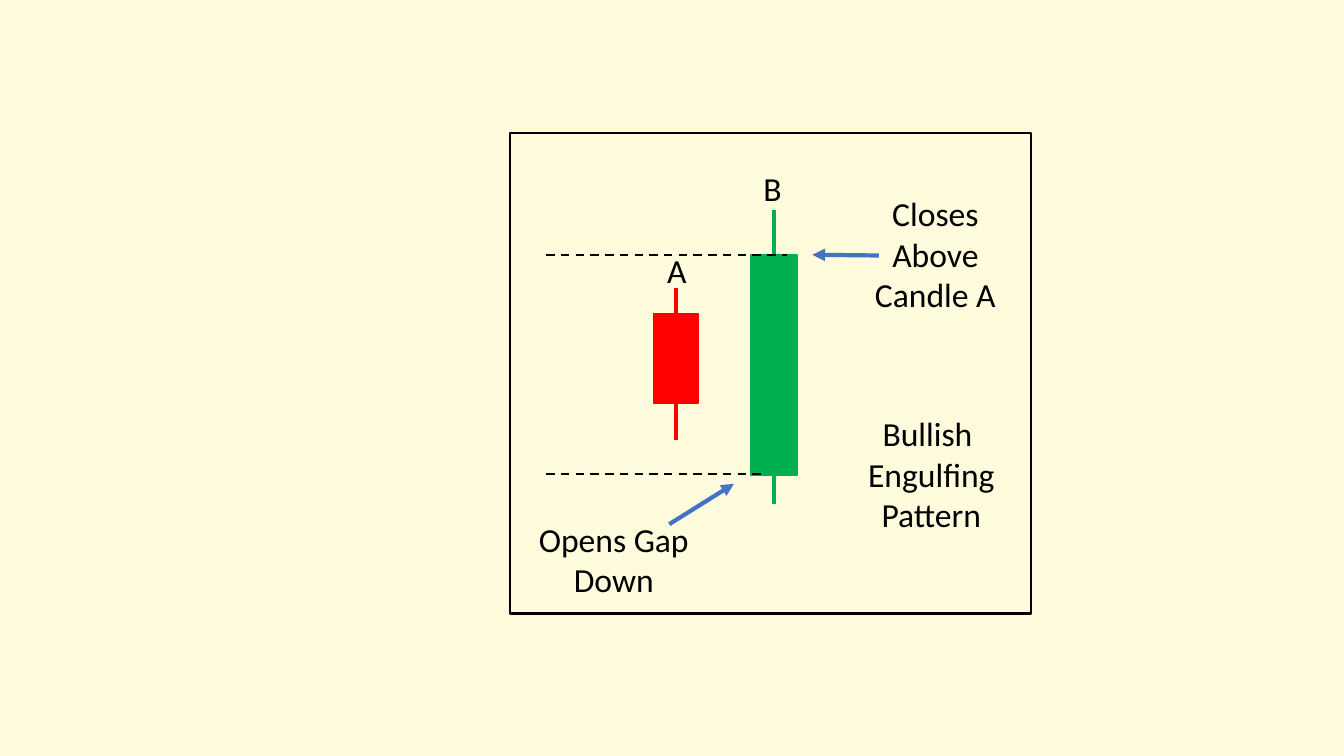
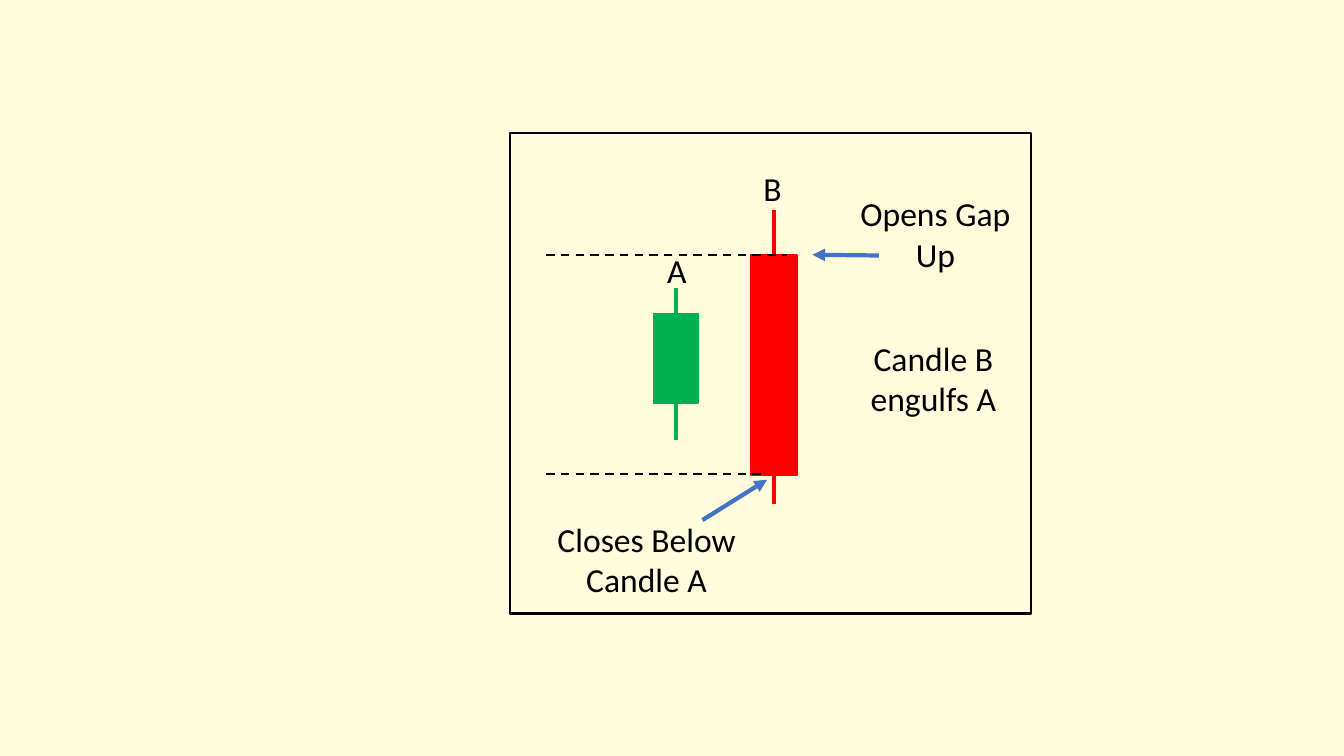
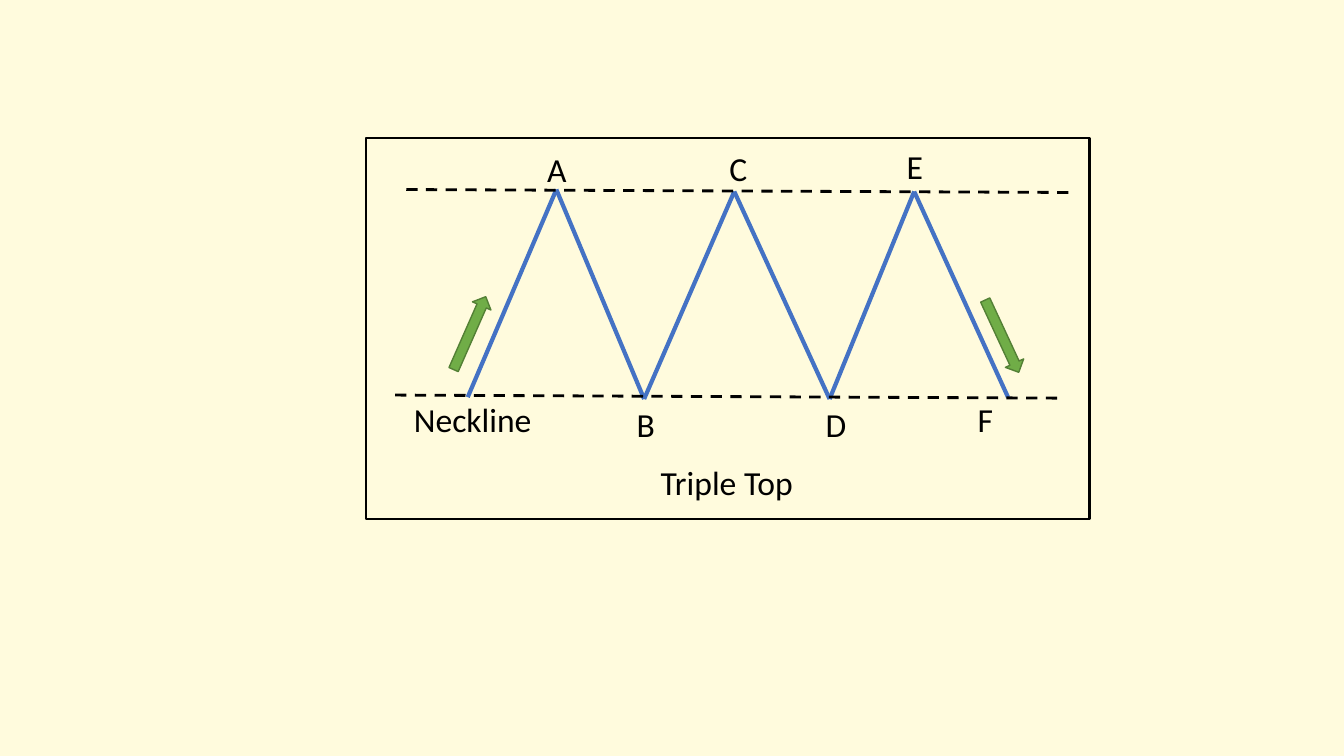
from pptx import Presentation
from pptx.dml.color import RGBColor
from pptx.enum.dml import MSO_LINE
from pptx.enum.shapes import MSO_CONNECTOR, MSO_SHAPE
from pptx.enum.text import MSO_AUTO_SIZE, PP_ALIGN
from pptx.oxml.ns import qn
from pptx.util import Pt
from lxml import etree

RECT, UP_ARROW = MSO_SHAPE.RECTANGLE, MSO_SHAPE.UP_ARROW
STRAIGHT, DASH = MSO_CONNECTOR.STRAIGHT, MSO_LINE.DASH
CENTER, GROW = PP_ALIGN.CENTER, MSO_AUTO_SIZE.SHAPE_TO_FIT_TEXT

FONT, SIZE = "Calibri", 24
CREAM, BLACK, BLUE = "FFFBDD", "000000", "4472C4"
RED, GREEN = "FF0000", "00B050"
LEAF, LEAF_EDGE = "70AD47", "538035"

# Candles: centre, body width, body top, body bottom, wick top, wick bottom
CANDLE_A = (482.8, 31.7, 224, 288, 206, 314)
CANDLE_B = (552.8, 33.1, 182.2, 339.2, 149.8, 360)
CANDLE_FRAME = (364.3, 95, 372.2, 343.4)
CANDLE_LABELS = [(463, 175, 41, 36, ["A"]), (531.4, 116.6, 41, 36, ["B"])]
LEVELS = [(390.2, 182.2, 562.3, 182.2), (390.2, 338.4, 547.9, 338.4)]
TOP_ARROW = (627.8, 182.5, 580.3, 182)

CANDLE_SLIDES = [
    {
        "colors": (RED, GREEN),
        "bottom_arrow": (478.1, 374.4, 524.2, 345.6),
        "texts": [
            (375.8, 367.2, 125.3, 65.5, ["Opens Gap Down"]),
            (605.5, 134.6, 125.3, 94.3, ["Closes", "Above", "Candle A"]),
            (602.6, 291.6, 125.3, 94.3, ["Bullish ", "Engulfing", "Pattern"]),
        ],
    },
    {
        "colors": (GREEN, RED),
        "bottom_arrow": (501.8, 371.5, 547.9, 342.7),
        "texts": [
            (375.8, 367.2, 172.1, 65.5, ["Closes Below Candle A"]),
            (605.5, 134.6, 125.3, 65.5, ["Opens Gap Up"]),
            (604.1, 237.6, 125.3, 65.5, ["Candle B engulfs A"]),
        ],
    },
]

TRIPLE_FRAME = (261.4, 98.6, 517, 272.2)
ZIGZAG = [(334.1, 283.7), (397.4, 135.4), (460.1, 285), (524.5, 136.8),
          (592.6, 285), (653, 136.8), (720, 283.7)]
TREND_LINES = [(282.2, 282.2, 756, 284.4), (290.2, 135.4, 764.6, 137.5)]
TREND_ARROWS = [(328.3, 209.5, 23.8), (708.5, 211.7, 155.1)]
TRIPLE_LABELS = [("A", 378, 103), ("B", 441.4, 285.1), ("C", 507.6, 102.2),
                 ("D", 577.4, 285.1), ("E", 633.6, 100.8), ("F", 684, 281.5)]
TRIPLE_TEXTS = [(274.3, 281.5, 126.7, 36, ["Neckline"]),
                (452.2, 326.2, 133.9, 31.7, ["Triple Top"])]


def rgb(color):
    return RGBColor.from_string(color)


def add_slide(prs):
    s = prs.slides.add_slide(prs.slide_layouts[6])
    s.background.fill.solid()
    s.background.fill.fore_color.rgb = rgb(CREAM)
    return s


def add_box(s, kind, x, y, w, h, fill, edge, weight):
    box = s.shapes.add_shape(kind, Pt(x), Pt(y), Pt(w), Pt(h))
    box.shadow.inherit = False
    if fill:
        box.fill.solid()
        box.fill.fore_color.rgb = rgb(fill)
    else:
        box.fill.background()
    box.line.color.rgb = rgb(edge)
    box.line.width = Pt(weight)
    return box


def add_frame(s, frame):
    add_box(s, RECT, *frame, None, BLACK, 2)


def add_line(s, x1, y1, x2, y2, color, weight, dashed=False, arrow=False):
    c = s.shapes.add_connector(STRAIGHT, Pt(x1), Pt(y1), Pt(x2), Pt(y2))
    c.line.color.rgb = rgb(color)
    c.line.width = Pt(weight)
    if dashed:
        c.line.dash_style = DASH
    sp_pr = c.element.spPr
    if arrow:
        etree.SubElement(sp_pr.find(qn("a:ln")), qn("a:tailEnd"), type="triangle")
    etree.SubElement(sp_pr, qn("a:effectLst"))


def add_text(s, x, y, w, h, lines):
    tf = s.shapes.add_textbox(Pt(x), Pt(y), Pt(w), Pt(h)).text_frame
    tf.word_wrap = True
    tf.auto_size = GROW
    for i, line in enumerate(lines):
        p = tf.add_paragraph() if i else tf.paragraphs[0]
        p.alignment = CENTER
        r = p.add_run()
        r.text = line
        r.font.name, r.font.size = FONT, Pt(SIZE)
        r.font.color.rgb = rgb(BLACK)


def add_candle(s, candle, color):
    center, width, top, bottom, wick_top, wick_bottom = candle
    add_box(s, RECT, center - width / 2, top, width, bottom - top, color, color, 1)
    add_line(s, center, wick_top, center, wick_bottom, color, 3)


def add_candle_slide(prs, content):
    s = add_slide(prs)
    add_frame(s, CANDLE_FRAME)
    for candle, color in zip((CANDLE_A, CANDLE_B), content["colors"]):
        add_candle(s, candle, color)
    for ends in (TOP_ARROW, content["bottom_arrow"]):
        add_line(s, *ends, BLUE, 3, arrow=True)
    for ends in LEVELS:
        add_line(s, *ends, BLACK, 1.5, dashed=True)
    for text in CANDLE_LABELS + content["texts"]:
        add_text(s, *text)


def add_triple_top_slide(prs):
    s = add_slide(prs)
    add_frame(s, TRIPLE_FRAME)
    for start, end in zip(ZIGZAG, ZIGZAG[1:]):
        add_line(s, *start, *end, BLUE, 3)
    for ends in TREND_LINES:
        add_line(s, *ends, BLACK, 2, dashed=True)
    for x, y, angle in TREND_ARROWS:
        add_box(s, UP_ARROW, x, y, 14.4, 56.9, LEAF, LEAF_EDGE, 1).rotation = angle
    for letter, x, y in TRIPLE_LABELS:
        add_text(s, x, y, 39.6, 31.7, [letter])
    for text in TRIPLE_TEXTS:
        add_text(s, *text)


def main():
    prs = Presentation()
    prs.slide_width, prs.slide_height = Pt(960), Pt(540)
    for content in CANDLE_SLIDES:
        add_candle_slide(prs, content)
    add_triple_top_slide(prs)
    prs.save("out.pptx")


if __name__ == "__main__":
    main()
